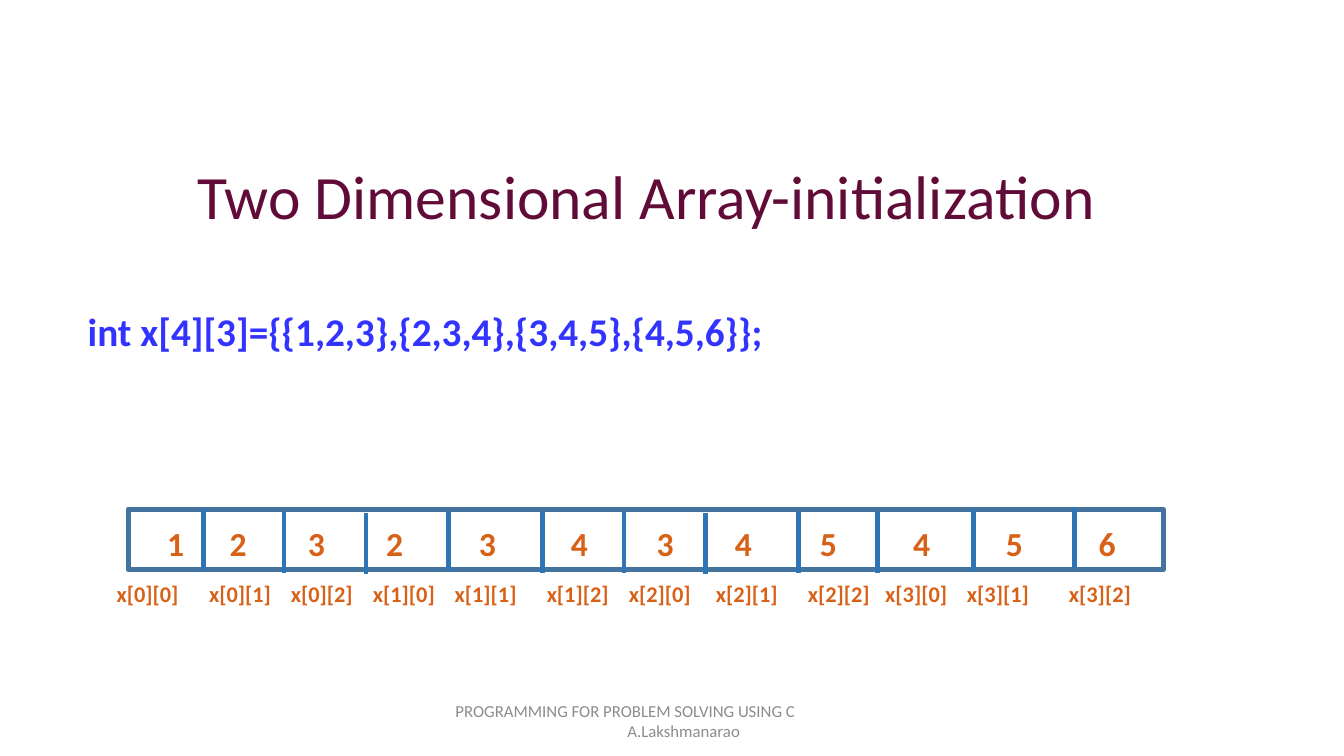
from lxml.etree import SubElement
from pptx import Presentation
from pptx.dml.color import RGBColor
from pptx.enum.shapes import MSO_CONNECTOR as Connector, MSO_SHAPE as Shape
from pptx.enum.text import MSO_ANCHOR as Anchor, PP_ALIGN as Align
from pptx.oxml.ns import qn
from pptx.util import Cm, Pt

# Content
TITLE = "Two Dimensional Array-initialization"
CODE = "int x[4][3]={{1,2,3},{2,3,4},{3,4,5},{4,5,6}};"
FOOTER = "PROGRAMMING FOR PROBLEM SOLVING USING C A.Lakshmanarao"
ROWS = [[1, 2, 3], [2, 3, 4], [3, 4, 5], [4, 5, 6]]
COLORS = {"title": "610B38", "code": "3333FF", "footer": "8C8C8C",
          "frame": "43739E", "divider": "2E75B6", "cell": "D86118"}

# Horizontal places in cm
VALUE_LEFTS = [4.23, 5.79, 7.76, 9.73, 12.07, 14.39,
               16.55, 18.52, 20.66, 23.01, 25.35, 27.69]
LABEL_LEFTS = [2.95, 5.27, 7.33, 9.4, 11.46, 13.78,
               15.85, 18.04, 20.36, 22.31, 24.37, 26.94]
DIVIDERS = [(5.13, 12.83), (7.16, 12.9), (9.22, 12.93), (11.3, 12.85),
            (13.67, 12.9), (15.72, 12.9), (17.78, 12.93), (20.12, 12.9),
            (22.12, 12.9), (24.54, 12.85), (27.08, 12.78)]  # x, top
DIVIDER_HEIGHT = 1.53
INSET = 0.25


def color(name):
    return RGBColor.from_string(COLORS[name])


def place(shape, left, top, width, height):
    shape.left, shape.top = Cm(left), Cm(top)
    shape.width, shape.height = Cm(width), Cm(height)


def write(shape, text, size, name, bold=False):
    frame = shape.text_frame
    frame.word_wrap = True
    frame.text = text
    para = frame.paragraphs[0]
    font = para.runs[0].font
    font.name, font.size, font.bold = "Calibri", Pt(size), bold
    font.color.rgb = color(name)
    return para


def add_text(page, area, text, size, name, bold=False):
    box = page.shapes.add_textbox(*map(Cm, area))
    return box, write(box, text, size, name, bold)


def add_tabbed_row(page, area, words, lefts, size):
    box, para = add_text(page, area, "\t".join(words), size, "cell", True)
    stops = SubElement(para._p.get_or_add_pPr(), qn("a:tabLst"))
    for left in lefts[1:]:
        offset = Cm(left - area[0] - INSET)
        SubElement(stops, qn("a:tab"), pos=str(int(offset)), algn="l")


deck = Presentation()
deck.slide_width, deck.slide_height = Cm(33.87), Cm(19.05)
page = deck.slides.add_slide(deck.slide_layouts[5])

# Title, set in the upper part of its box
title = page.shapes.title
place(title, -4.75, 4.06, 42.09, 3.68)
para = write(title, TITLE, 44, "title")
para.alignment, para.line_spacing = Align.CENTER, 0.9
title.text_frame.vertical_anchor = Anchor.MIDDLE
title.text_frame.margin_bottom = Cm(1.85)

# Declaration
box, para = add_text(page, (1.96, 7.75, 29.21, 12.09), CODE, 28, "code", True)
para.line_spacing = 0.9

# Footer, with the author on an indented second line
box, para = add_text(page, (11.23, 17.65, 11.43, 1.02), FOOTER, 12, "footer")
box.text_frame.vertical_anchor = Anchor.MIDDLE
indent = int(Cm(4.33))
para._p.get_or_add_pPr().set("marL", str(indent))
para._p.get_or_add_pPr().set("indent", str(-indent))

# Memory strip: frame and dividers
strip = page.shapes.add_group_shape()
frame = strip.shapes.add_shape(Shape.RECTANGLE, Cm(3.23), Cm(12.83), Cm(26.09), Cm(1.53))
frame.shadow.inherit = False
frame.fill.background()
frame.line.color.rgb = color("frame")
frame.line.width = Pt(3.5)
for x, top in DIVIDERS:
    divider = strip.shapes.add_connector(
        Connector.STRAIGHT, Cm(x), Cm(top), Cm(x), Cm(top + DIVIDER_HEIGHT))
    divider.line.color.rgb = color("divider")
    divider.line.width = Pt(3.25)
    SubElement(divider._element.spPr, qn("a:effectLst"))

# Index labels and cell values
labels = [f"x[{i}][{j}]" for i, row in enumerate(ROWS) for j in range(len(row))]
values = [str(value) for row in ROWS for value in row]
add_tabbed_row(page, (2.69, 14.5, 26.64, 0.94), labels, LABEL_LEFTS, 16)
add_tabbed_row(page, (3.96, 13.06, 26.64, 1.27), values, VALUE_LEFTS, 24)

deck.save("out.pptx")
